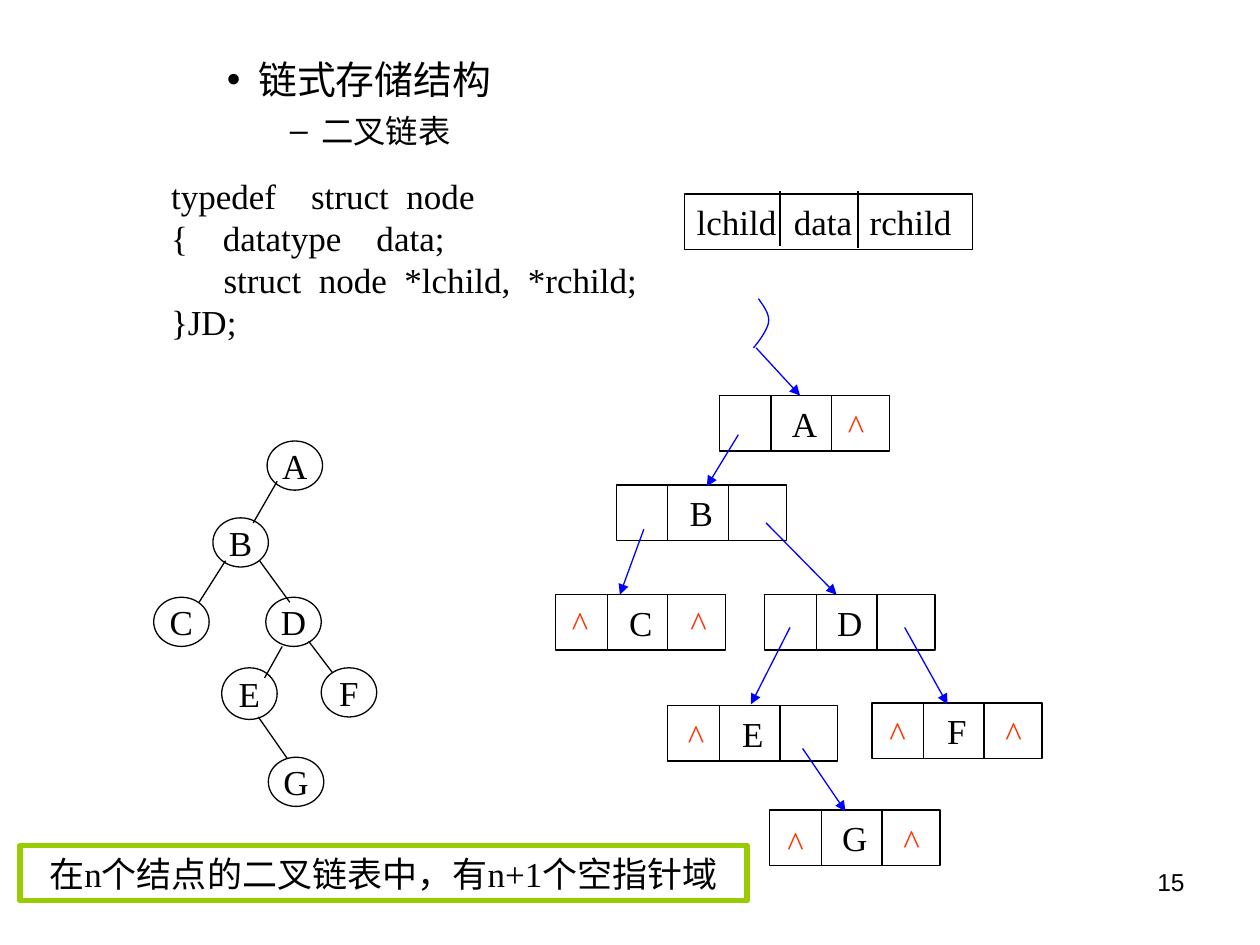
"""Build the slide on linked storage of a binary tree."""
from pptx import Presentation
from pptx import util as u
from pptx.dml.color import RGBColor
from pptx.enum import shapes, text
from pptx.oxml import ns
from lxml import etree

deck = Presentation()
deck.slide_width, deck.slide_height = u.Inches(10), u.Inches(7.5)
slide = deck.slides.add_slide(deck.slide_layouts[1])
items = slide.shapes
hue = RGBColor.from_string
LEFT, MID, RIGHT = text.PP_ALIGN.LEFT, text.PP_ALIGN.CENTER, text.PP_ALIGN.RIGHT
RECT, OVAL = shapes.MSO_SHAPE.RECTANGLE, shapes.MSO_SHAPE.OVAL


def label(place, words, kind=None, align=MID, ink="000000", edge="000000", width=0.75):
    area = [u.Inches(n) for n in place]
    if kind is None:
        box = items.add_textbox(*area)
    else:
        box = items.add_shape(kind, *area)
        box.shadow.inherit = False
        box.fill.background()
        box.line.color.rgb = hue(edge)
        box.line.width = u.Pt(width)
    frame = box.text_frame
    frame.word_wrap = False
    frame.vertical_anchor = text.MSO_ANCHOR.MIDDLE
    frame.text = words
    for para in frame.paragraphs:
        para.alignment = align
        para.font.size = u.Pt(20)
        for run in para.runs:
            run.font.size = u.Pt(20)
            run.font.name = "Times New Roman"
            run.font.color.rgb = hue(ink)
    return box


def link(x1, y1, x2, y2, ink="000000", arrow=False):
    line = items.add_connector(shapes.MSO_CONNECTOR.STRAIGHT, *[u.Inches(n) for n in (x1, y1, x2, y2)])
    line.line.color.rgb = hue(ink)
    line.line.width = u.Pt(0.75)
    props = line._element.spPr
    if arrow:
        etree.SubElement(props.find(ns.qn("a:ln")), ns.qn("a:tailEnd"), type="triangle")
    etree.SubElement(props, ns.qn("a:effectLst"))


head = items.title._element
head.getparent().remove(head)
body = slide.placeholders[1]
body.left, body.top, body.width, body.height = [u.Inches(n) for n in (0.7, 0.39, 9.3, 0.86)]
body.text_frame.text = "链式存储结构\n二叉链表"
for para, level, size, gap in zip(body.text_frame.paragraphs, (2, 3), (22.2, 18.5), (6, 5)):
    para.level = level
    para.space_before = u.Pt(gap)
    font = para.runs[0].font
    font.size, font.name, font.color.rgb = u.Pt(size), "Arial", hue("000000")

code = """typedef    struct  node
{    datatype    data;
      struct  node  *lchild,  *rchild;
}JD;"""
label((1.26, 1.33, 3.9, 1.44), code, align=LEFT)

label((5.43, 1.54, 2.29, 0.44), "lchild  data  rchild", RECT, LEFT)
link(6.19, 1.52, 6.19, 1.95)
link(6.81, 1.52, 6.81, 1.97)

tree = {"A": (2.12, 3.5), "B": (1.69, 4.11), "C": (1.22, 4.74), "D": (2.11, 4.74),
        "E": (1.76, 5.3), "F": (2.55, 5.3), "G": (2.13, 6.01)}
for name, (x, y) in tree.items():
    label((x, y, 0.44, 0.41 if name == "E" else 0.39), name, OVAL)
for ends in ((2.2, 3.82, 2.01, 4.15), (1.79, 4.45, 1.58, 4.78), (2.06, 4.45, 2.3, 4.78),
             (2.24, 5.13, 2.1, 5.38), (2.45, 5.09, 2.64, 5.34), (2.05, 5.69, 2.28, 6.02)):
    link(*ends)

label((0.16, 6.71, 5.77, 0.44), "在n个结点的二叉链表中，有n+1个空指针域", RECT, edge="99CC00", width=3)

nodes = {"A": (5.71, 3.14), "B": (4.89, 3.85), "C": (4.41, 4.72), "D": (6.07, 4.72),
         "E": (5.3, 5.6), "F": (6.92, 5.58), "G": (6.11, 6.43)}
for name, (x, y) in nodes.items():
    label((x, y, 1.35, 0.44), name, RECT)
    for step in (0.41, 0.89):
        link(x + step, y, x + step, y + 0.44)

for ends in ((5.86, 3.45, 5.61, 3.86), (5.11, 4.2, 4.92, 4.72), (6.08, 4.15, 6.64, 4.72),
             (6.27, 4.98, 5.96, 5.59), (7.18, 4.98, 7.52, 5.59), (6.37, 5.94, 6.71, 6.44),
             (6, 2.76, 6.35, 3.14)):
    link(*ends, ink="0000FF", arrow=True)

bends = (((6.02, 2.37), (6.06, 2.43), (6.11, 2.49), (6.1, 2.56)),
         ((6.1, 2.56), (6.09, 2.62), (6.01, 2.73), (5.98, 2.76)))
dots = []
for bend in bends:
    for t in [n / 10 for n in range(1, 11)]:
        parts = ((1 - t) ** 3, 3 * t * (1 - t) ** 2, 3 * t ** 2 * (1 - t), t ** 3)
        dots.append([u.Inches(sum(p * dot[axis] for p, dot in zip(parts, bend))) for axis in (0, 1)])
pen = items.build_freeform(u.Inches(6.02), u.Inches(2.37))
pen.add_line_segments(dots, close=False)
curve = pen.convert_to_shape()
curve.shadow.inherit = False
curve.fill.background()
curve.line.color.rgb = hue("0000FF")
curve.line.width = u.Pt(0.75)

for x, y in ((6.63, 3.16), (4.44, 4.72), (5.38, 4.72), (5.36, 5.62),
             (6.96, 5.59), (7.88, 5.59), (6.15, 6.47), (7.07, 6.45)):
    label((x, y, 0.33, 0.44), "^", ink="FF3300")

page = label((7.17, 6.83, 2.33, 0.52), "15", align=RIGHT)
page.text_frame.word_wrap = True
page.text_frame.vertical_anchor = text.MSO_ANCHOR.TOP
font = page.text_frame.paragraphs[0].runs[0].font
font.size, font.name = u.Pt(14), "Arial"

deck.save("out.pptx")
